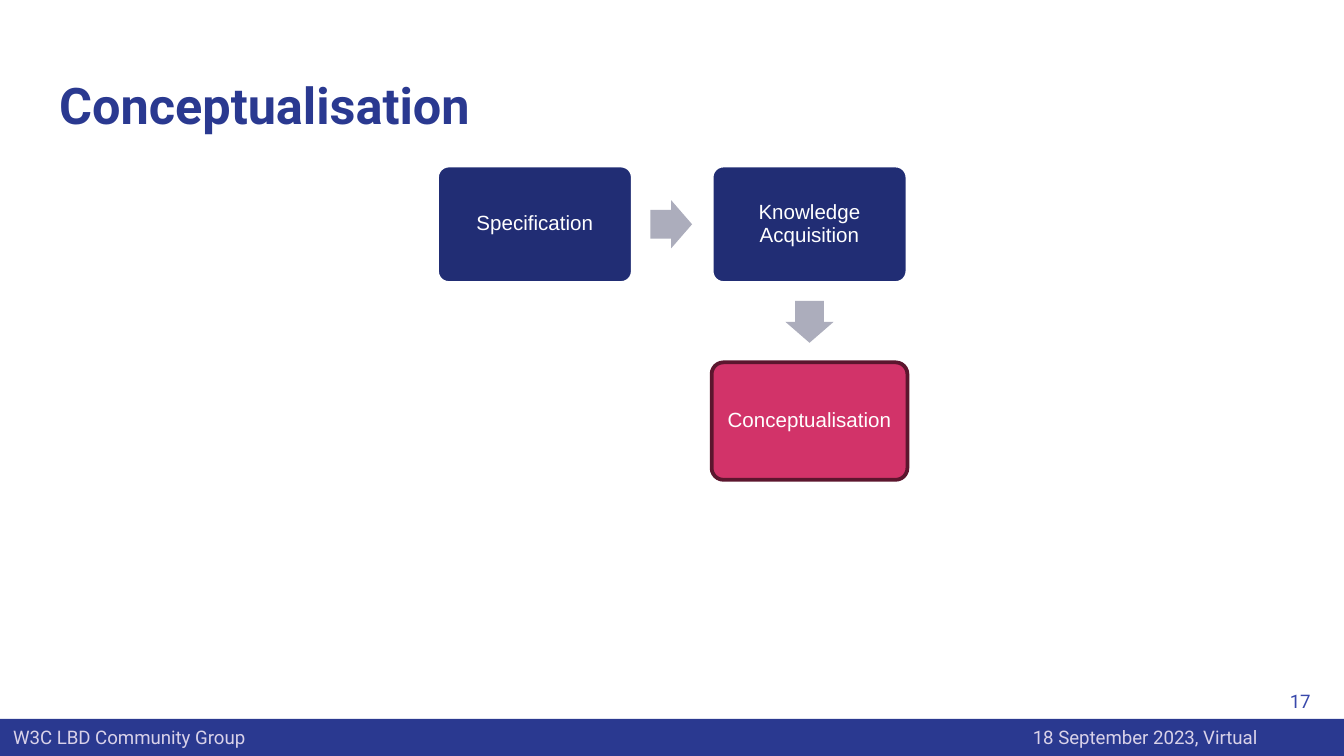
"""Build the Conceptualisation slide with its three-step flow."""
from dataclasses import dataclass

from lxml.etree import SubElement
from pptx import Presentation
from pptx.dml.color import RGBColor
from pptx.enum.shapes import MSO_SHAPE
from pptx.enum.text import MSO_ANCHOR, PP_ALIGN
from pptx.oxml.ns import qn
from pptx.util import Cm, Pt


@dataclass
class Theme:
    blue: str = "2A3990"
    navy: str = "212D74"
    pink: str = "D23369"
    wine: str = "5C162E"
    grey: str = "ACADBC"
    indigo: str = "3949AB"
    lilac: str = "D9D2E9"
    white: str = "FFFFFF"
    head: int = 27
    body: int = 11
    small: int = 10


def add_form(kind, left, top, width, height, fill):
    form = slide.shapes.add_shape(kind, Cm(left), Cm(top), Cm(width), Cm(height))
    form.shadow.inherit = False
    form.fill.solid()
    form.fill.fore_color.rgb = RGBColor.from_string(fill)
    form.line.fill.background()
    return form


def set_text(form, text, size, color, font="Roboto", align=PP_ALIGN.LEFT,
             inset=0.25, anchor=MSO_ANCHOR.MIDDLE):
    frame = form.text_frame
    frame.word_wrap = True
    frame.vertical_anchor = anchor
    frame.margin_left = frame.margin_right = Cm(inset)
    frame.margin_top = frame.margin_bottom = Cm(inset)
    frame.text = text
    para = frame.paragraphs[0]
    para.alignment = align
    run = para.runs[0]
    run.font.name = font
    run.font.size = Pt(size)
    run.font.color.rgb = RGBColor.from_string(color)
    return para


theme = Theme()
deck = Presentation()
deck.slide_width, deck.slide_height = Cm(25.4), Cm(14.29)
slide = deck.slides.add_slide(deck.slide_layouts[6])

bar = add_form(MSO_SHAPE.RECTANGLE, 0, 13.59, 25.4, 0.7, theme.blue)
para = set_text(bar, "W3C LBD Community Group\t18 September 2023, Virtual",
                theme.small, theme.lilac)
tabs = SubElement(para._p.get_or_add_pPr(), qn("a:tabLst"))
SubElement(tabs, qn("a:tab"), pos=str(Cm(19.27)), algn="l")

title = slide.shapes.add_textbox(Cm(0.87), Cm(1.15), Cm(23.67), Cm(1.68))
para = set_text(title, "Conceptualisation", theme.head, theme.blue,
                anchor=MSO_ANCHOR.TOP)
para.runs[0].font.bold = True

number = slide.shapes.add_textbox(Cm(23.5), Cm(12.71), Cm(1.52), Cm(1.1))
set_text(number, "17", theme.small, theme.indigo, align=PP_ALIGN.RIGHT)

left, top, wide, high = 8.26, 3.13, 3.7, 2.22
step, drop = 5.19, 3.72
boxes = [
    ("Specification", 0, 0, theme.navy, theme.white),
    ("Knowledge Acquisition", 1, 0, theme.navy, theme.white),
    ("Conceptualisation", 1, 1, theme.pink, theme.wine),
]
for text, col, row, fill, edge in boxes:
    box = add_form(MSO_SHAPE.ROUNDED_RECTANGLE, left + col * step,
                   top + row * drop, wide, high, fill)
    box.adjustments[0] = 0.1
    box.line.color.rgb = RGBColor.from_string(edge)
    box.line.width = Pt(2)
    para = set_text(box, text, theme.body, theme.white, "Arial",
                    PP_ALIGN.CENTER, 0.15)
    para.line_spacing = 0.9

long, broad = 0.79, 0.91
mid_x, mid_y = left + step + wide / 2, top + high / 2
arrows = [
    (MSO_SHAPE.RIGHT_ARROW, 12.29, mid_y - broad / 2, long, broad),
    (MSO_SHAPE.DOWN_ARROW, mid_x - broad / 2, 5.69, broad, long),
]
for kind, *place in arrows:
    arrow = add_form(kind, *place, theme.grey)
    arrow.adjustments[0] = 0.6
    arrow.adjustments[1] = 0.5

deck.save("out.pptx")
